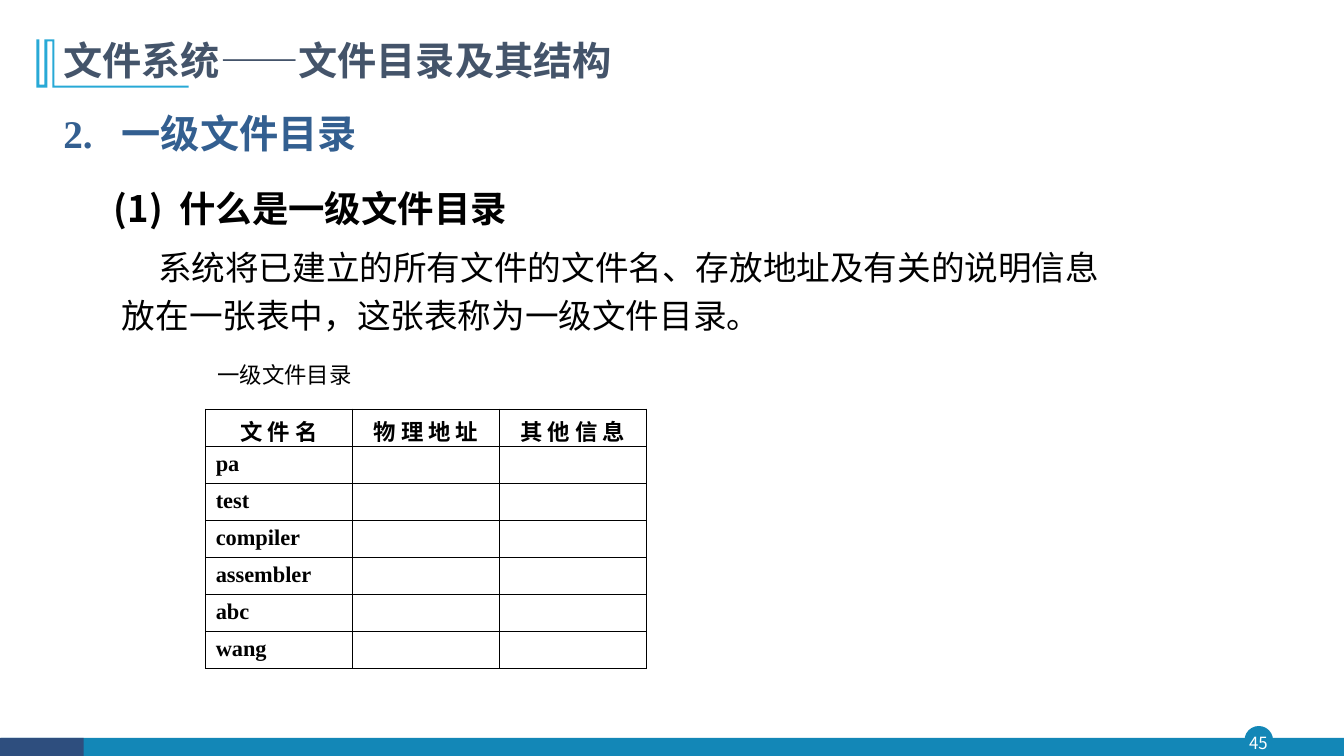
import pptx
import pptx.dml.color
import pptx.enum.shapes
import pptx.enum.text
import pptx.oxml
import pptx.oxml.ns
import pptx.util
from pptx.util import Inches

RGBColor = pptx.dml.color.RGBColor
ALIGN = pptx.enum.text.PP_ALIGN
ANCHOR = pptx.enum.text.MSO_ANCHOR
SHAPE = pptx.enum.shapes.MSO_SHAPE

TEAL = RGBColor(0x13, 0x87, 0xB7)
NAVY = RGBColor(0x2E, 0x4E, 0x7E)
SKY = RGBColor(0x28, 0xA9, 0xD6)
SLATE = RGBColor(0x44, 0x54, 0x6A)
BLUE = RGBColor(0x33, 0x5F, 0x90)
BLACK = RGBColor(0, 0, 0)
WHITE = RGBColor(0xFF, 0xFF, 0xFF)

SANS = "Noto Sans CJK SC"
SERIF = "Times New Roman"
DRAWING_NS = "http://schemas.openxmlformats.org/drawingml/2006/main"

# Outline of the double-bar title mark, in hundredths of an inch
TITLE_MARK = [(54, 39), (54, 85), (187, 85), (187, 87), (52, 87), (52, 41),
              (47, 41), (47, 87), (36, 87), (36, 39), (39, 39), (39, 84),
              (44, 84), (44, 39)]
HEADERS = ["文 件 名", "物 理 地 址", "其 他 信 息"]
FILE_NAMES = ["pa", "test", "compiler", "assembler", "abc", "wang"]


class DirectorySlide:
    """Holds the slide being built and draws each kind of element in its style."""

    def __init__(self, page):
        self.page = page

    def add_span(self, para, text, size, color, latin=SANS, bold=False):
        span = para.add_run()
        span.text = text
        span.font.size = pptx.util.Pt(size)
        span.font.bold = bold
        span.font.name = latin
        span.font.color.rgb = color
        east_asian = pptx.oxml.parse_xml(
            f'<a:ea xmlns:a="{DRAWING_NS}" typeface="{SANS}"/>')
        span._r.get_or_add_rPr().append(east_asian)

    def paint(self, shape, color):
        shape.fill.solid()
        shape.fill.fore_color.rgb = color
        shape.line.fill.background()
        shape.shadow.inherit = False

    def add_block(self, kind, left, top, width, height, color):
        block = self.page.shapes.add_shape(
            kind, Inches(left), Inches(top), Inches(width), Inches(height))
        self.paint(block, color)
        return block

    def add_outline(self, points, color):
        builder = self.page.shapes.build_freeform(*points[0], scale=Inches(0.01))
        builder.add_line_segments(points[1:], close=True)
        self.paint(builder.convert_to_shape(), color)

    def add_box(self, left, top, width, height):
        box = self.page.shapes.add_textbox(
            Inches(left), Inches(top), Inches(width), Inches(height))
        box.text_frame.word_wrap = True
        return box.text_frame

    def set_title(self, text):
        title = self.page.shapes.title
        title.left, title.top = Inches(0.53), Inches(0.34)
        title.width, title.height = Inches(10.49), Inches(0.56)
        frame = title.text_frame
        frame.auto_size = pptx.enum.text.MSO_AUTO_SIZE.NONE
        frame.vertical_anchor = ANCHOR.MIDDLE
        para = frame.paragraphs[0]
        para.alignment = ALIGN.LEFT
        para.line_spacing = 0.9
        self.add_span(para, text, 28, SLATE, bold=True)

    def format_para(self, para, margin, indent, line_height, before=0):
        """Set the left margin and first-line indent in inches, spacing in points."""
        props = para._p.get_or_add_pPr()
        props.set("marL", str(Inches(margin)))
        props.set("indent", str(Inches(indent)))
        para.line_spacing = pptx.util.Pt(line_height)
        para.space_before = pptx.util.Pt(before)

    def add_borders(self, cell):
        props = cell._tc.get_or_add_tcPr()
        for index, side in enumerate(("lnL", "lnR", "lnT", "lnB")):
            props.insert(index, pptx.oxml.parse_xml(
                f'<a:{side} xmlns:a="{DRAWING_NS}" w="12700"><a:solidFill>'
                f'<a:srgbClr val="{BLACK}"/></a:solidFill></a:{side}>'))

    def add_directory_table(self, left, top, width, height):
        rows = [HEADERS] + [[name, "", ""] for name in FILE_NAMES]
        table = self.page.shapes.add_table(
            len(rows), len(HEADERS), Inches(left), Inches(top),
            Inches(width), Inches(height)).table
        for row_index, texts in enumerate(rows):
            is_header = row_index == 0
            for column_index, text in enumerate(texts):
                cell = table.cell(row_index, column_index)
                cell.fill.background()
                self.add_borders(cell)
                cell.margin_top = Inches(0.05 if text else 0)
                cell.margin_bottom = Inches(0.05 if text and not is_header else 0)
                if text:
                    para = cell.text_frame.paragraphs[0]
                    para.alignment = ALIGN.CENTER if is_header else ALIGN.LEFT
                    self.add_span(para, text, 16, BLACK, SERIF, bold=True)


def main():
    deck = pptx.Presentation()
    deck.slide_width, deck.slide_height = Inches(13.33), Inches(7.5)
    page = deck.slides.add_slide(deck.slide_layouts[5])
    slide = DirectorySlide(page)

    badge = slide.add_block(SHAPE.OVAL, 12.35, 7.21, 0.27, 0.27, TEAL)
    badge.line.color.rgb = TEAL
    badge.line.width = pptx.util.Pt(1)
    slide.add_block(SHAPE.RECTANGLE, 0.01, 7.32, 13.32, 0.19, TEAL)
    slide.add_block(SHAPE.RECTANGLE, 0, 7.32, 0.83, 0.19, NAVY)
    number = slide.add_box(12.32, 7.21, 0.32, 0.31)
    number.margin_left = number.margin_right = 0
    number.margin_top = number.margin_bottom = 0
    number.vertical_anchor = ANCHOR.MIDDLE
    number.paragraphs[0].alignment = ALIGN.CENTER
    slide.add_span(number.paragraphs[0], "45", 12, WHITE)

    slide.add_outline(TITLE_MARK, SKY)
    slide.set_title("文件系统——文件目录及其结构")

    body = slide.add_box(0.53, 0.91, 10.49, 2.5)
    heading = body.paragraphs[0]
    slide.format_para(heading, 0.58, -0.58, 43)
    slide.add_span(heading, "2.\t一级文件目录", 28, BLUE, SERIF, bold=True)
    question = body.add_paragraph()
    slide.format_para(question, 1.15, -0.65, 52)
    slide.add_span(question, "(1)\t什么是一级文件目录", 26, BLACK, bold=True)
    answer = body.add_paragraph()
    slide.format_para(answer, 0.58, 0.36, 34.5, before=6.5)
    slide.add_span(answer, "系统将已建立的所有文件的文件名、存放地址及有关的说明信息"
                   "放在一张表中，这张表称为一级文件目录。", 24, BLACK, SERIF)

    slide.add_directory_table(2.04, 4.06, 4.37, 2.57)
    caption = slide.add_box(2.06, 3.57, 1.6, 0.37)
    caption.margin_top = Inches(0.01)
    slide.add_span(caption.paragraphs[0], "一级文件目录", 16, BLACK, "Arial")

    deck.save("out.pptx")


if __name__ == "__main__":
    main()
